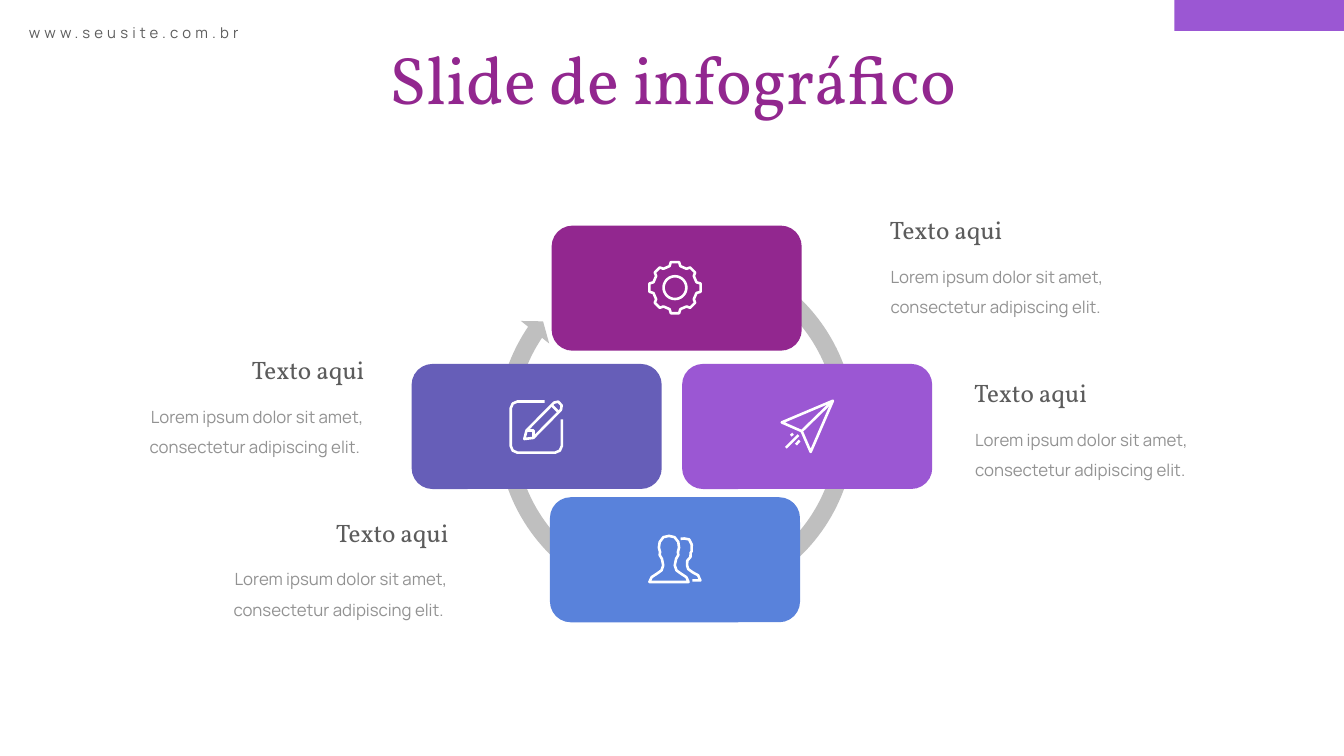
from math import cos, pi, sin

from pptx import Presentation
from pptx.dml.color import RGBColor
from pptx.enum.shapes import MSO_SHAPE
from pptx.enum.text import MSO_AUTO_SIZE, PP_ALIGN
from pptx.util import Pt

RECT = MSO_SHAPE.RECTANGLE
ROUNDED = MSO_SHAPE.ROUNDED_RECTANGLE
CYCLE = MSO_SHAPE.CIRCULAR_ARROW
FIT = MSO_AUTO_SIZE.SHAPE_TO_FIT_TEXT
LEFT, CENTER, RIGHT = PP_ALIGN.LEFT, PP_ALIGN.CENTER, PP_ALIGN.RIGHT

COLORS = {
    "plum": "92278F", "violet": "9B57D3", "indigo": "665EB8", "blue": "5982DB",
    "ring": "BFBFBF", "heading": "5C5C5C", "body": "929292", "white": "FFFFFF",
}
FORMATS = {
    "title": {"name": "Vollkorn", "size": Pt(36)},
    "heading": {"name": "Vollkorn", "size": Pt(13.5)},
    "body": {"name": "Manrope", "size": Pt(9)},
    "site": {"name": "Manrope", "size": Pt(8)},
}

prs = Presentation()
prs.slide_width, prs.slide_height = Pt(720), Pt(405)
s = prs.slides.add_slide(prs.slide_layouts[6])


def add_block(kind, x, y, w, h, color):
    sp = s.shapes.add_shape(kind, Pt(x), Pt(y), Pt(w), Pt(h))
    sp.shadow.inherit = False
    sp.fill.solid()
    sp.fill.fore_color.rgb = RGBColor.from_string(COLORS[color])
    sp.line.fill.background()
    return sp


def add_text(x, y, w, h, text, style, color, align=LEFT, wrap=False):
    tf = s.shapes.add_textbox(Pt(x), Pt(y), Pt(w), Pt(h)).text_frame
    tf.word_wrap = wrap
    tf.auto_size = FIT
    p = tf.paragraphs[0]
    p.alignment = align
    r = p.add_run()
    r.text = text
    for key, value in FORMATS[style].items():
        setattr(r.font, key, value)
    r.font.color.rgb = RGBColor.from_string(COLORS[color])
    return p


add_block(RECT, 629.1, 0, 90.9, 16.6, "violet")
add_text(195.1, 16.6, 330.5, 51.1, "Slide de infográfico", "title", "plum", CENTER)

ring = add_block(CYCLE, 261.4, 128.2, 201.6, 201.6, "ring")
for i, value in enumerate([0.047, 2.729, 128.41, 180.243, 0.048]):
    ring.adjustments[i] = value

for x, y, color in [
    (294.6, 266.4, "blue"),
    (220.5, 195, "indigo"),
    (365.4, 195, "violet"),
    (295.5, 120.9, "plum"),
]:
    add_block(ROUNDED, x, y, 134, 67, color)

edit = [
    ([(18.9, 0.7), (4.3, 0.7), (1.8, 1.8), (0.7, 4.3), (0.7, 24.5), (1.8, 27),
      (4.3, 28.1), (24.5, 28.1), (27, 27), (28.1, 24.5), (28.1, 10.3)], False),
    ([(8, 20.8), (9.2, 16.2), (23.9, 1.3), (26.2, 0.8), (28, 2.8),
      (27.6, 5.2), (12.8, 20.2)], True),
    ([(9.2, 16.2), (12.8, 16.2), (12.8, 20.2)], False),
    ([(22.6, 2.6), (26.4, 6.4)], False),
]
plane = [
    ([(0.7, 12.3), (28.1, 0.7), (16.2, 28.1), (11.4, 17)], True),
    ([(11.4, 17), (28.1, 0.7)], False),
    ([(10.3, 22), (8.3, 24.2)], False),
    ([(9.7, 19.1), (2.9, 25.9)], False),
    ([(6.8, 18.4), (5.5, 19.4)], False),
]
tooth = [(-2.2, -13.7), (2.2, -13.7), (2.9, -11.5), (6.2, -10.1),
         (8.1, -10.8), (10.8, -8.1), (10.1, -6.2), (11.5, -2.9)]
rim = []
for quarter in range(4):
    rim += [(14.4 + x, 14.4 + y) for x, y in tooth]
    tooth = [(-y, x) for x, y in tooth]
hub = [(14.4 + 6.1 * cos(i * pi / 18), 14.4 + 6.1 * sin(i * pi / 18)) for i in range(36)]
gear = [(rim, True), (hub, True)]
half = [(0, 0.7), (3, 1.4), (5, 4), (5.4, 7), (4.8, 9.3), (5, 11), (3.8, 13),
        (3.1, 16.5), (4, 19.2), (6.5, 21), (9.3, 22.8), (10.5, 25.4)]
front = [(11.2 + x, y) for x, y in half] + [(11.2 - x, y) for x, y in half[:0:-1]]
back = [(17.4, 2.3), (19.4, 2.1), (22, 2.6), (23.4, 5.4), (23.3, 9), (22.8, 9.8),
        (22.7, 12), (21, 14), (20.9, 16.5), (21.5, 18.5), (24, 20.3),
        (26.8, 21.8), (28, 24.6), (23.8, 24.6)]
people = [(front, True), (back, False)]

for left, top, contours in [
    (272.9, 214.4, edit), (418.1, 214, plane), (347.2, 139.7, gear), (347.2, 286.4, people),
]:
    fb = None
    for points, closed in contours:
        points = [(Pt(left + x), Pt(top + y)) for x, y in points]
        if fb is None:
            fb = s.shapes.build_freeform(*points[0])
        else:
            fb.move_to(*points[0])
        fb.add_line_segments(points[1:], close=closed)
    sp = fb.convert_to_shape()
    sp.shadow.inherit = False
    sp.fill.background()
    sp.line.color.rgb = RGBColor.from_string(COLORS["white"])
    sp.line.width = Pt(1.4)

lorem = "Lorem ipsum dolor sit amet, consectetur adipiscing elit."
for x, y, heading_x, text, align in [
    (470, 133.9, 467.2, lorem, LEFT),
    (515.3, 221.2, 512.5, lorem, LEFT),
    (38.2, 208.9, 125.4, lorem + " ", RIGHT),
    (83.1, 296, 170.5, lorem + " ", RIGHT),
]:
    p = add_text(x, y, 163.4, 38.2, text, "body", "body", align, True)
    p.line_spacing = 1.5
    add_text(heading_x, y - 22.4, 79.2, 23.8, "Texto aqui", "heading", "heading", CENTER)

p = add_text(8.4, 9.2, 130.3, 17, "www.seusite.com.br", "site", "heading")
p.runs[0].font._element.set("spc", "220")

prs.save("out.pptx")
